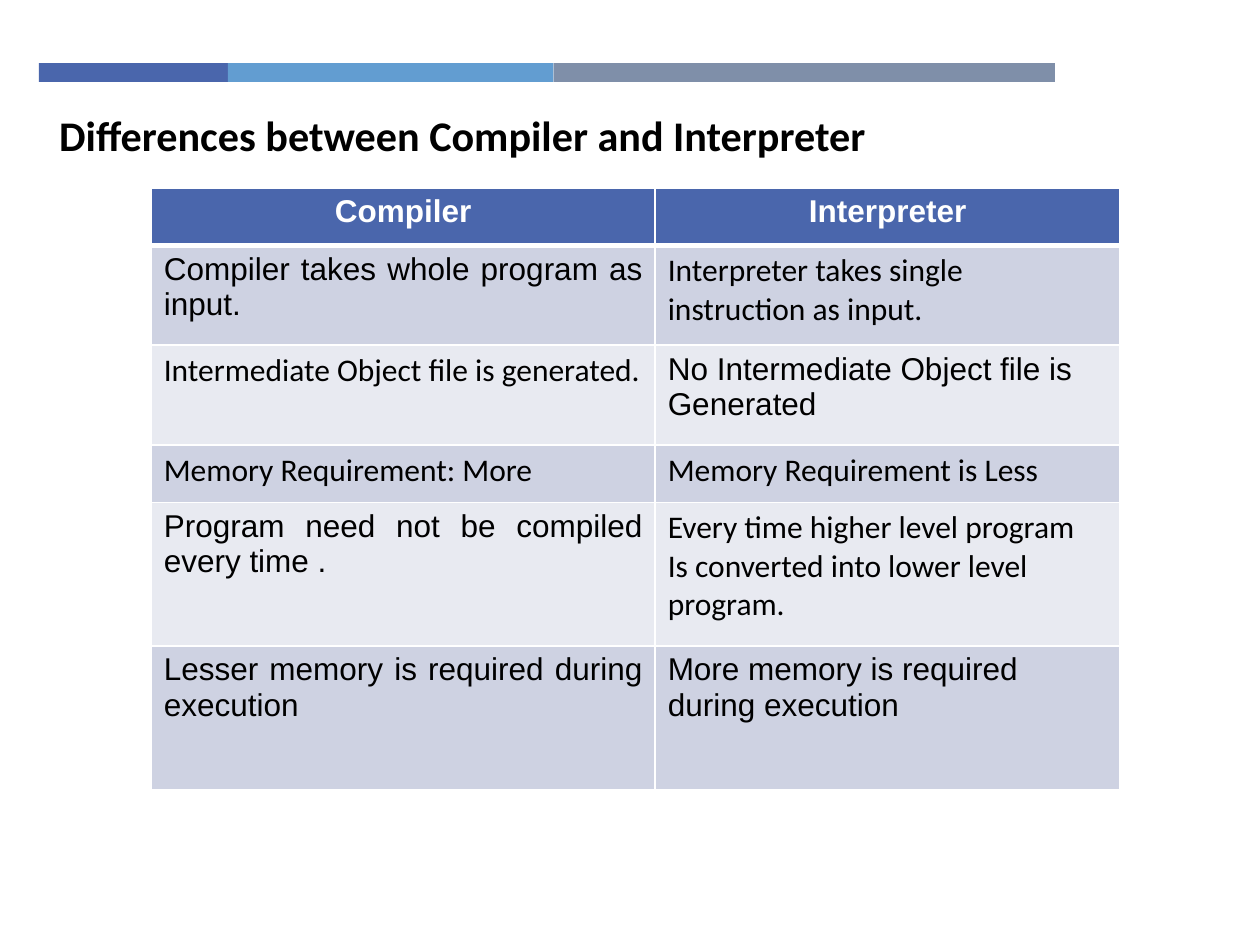
from lxml.etree import SubElement
from pptx import Presentation
from pptx.dml.color import RGBColor
from pptx.enum.shapes import MSO_SHAPE as Shape
from pptx.enum.text import MSO_ANCHOR as Anchor, MSO_AUTO_SIZE as AutoSize, PP_ALIGN as Align
from pptx.oxml.ns import qn
from pptx.util import Pt

COLORS = {
    "blue": "4A66AC",
    "sky": "629DD1",
    "slate": "7F8FA9",
    "band_dark": "CED2E2",
    "band_light": "E8EAF1",
    "white": "FFFFFF",
    "black": "000000",
}

STRIPES = [("blue", 108), ("sky", 186), ("slate", 286.5)]
COLUMN_WIDTHS = [288, 265.7]
ROW_HEIGHTS = [33, 57, 57, 33, 82, 82]

ARIAL = {"font": "Arial"}
CALIBRI = {"font": "Calibri"}
JUSTIFIED = {"align": Align.JUSTIFY}
HEADER = {"font": "Arial", "bold": True, "color": "white", "align": Align.CENTER}

COMPARISON = [
    [("Compiler", HEADER), ("Interpreter", HEADER)],
    [("Compiler takes whole program as input.", ARIAL | JUSTIFIED),
     ("Interpreter takes single instruction as input.", CALIBRI)],
    [("Intermediate Object file is generated.", CALIBRI | JUSTIFIED),
     ("No Intermediate Object file is Generated", ARIAL)],
    [("Memory Requirement: More", CALIBRI),
     ("Memory Requirement is Less", CALIBRI)],
    [("Program need not be compiled every time .", ARIAL | JUSTIFIED),
     ("Every time higher level program\nIs converted into lower level program.", CALIBRI)],
    [("Lesser memory is required during execution", ARIAL | JUSTIFIED),
     ("More memory is required during execution", ARIAL)],
]


def rgb(name):
    return RGBColor.from_string(COLORS[name])


def write_text(frame, text, font="Arial", size=18, bold=False, color="black", align=Align.LEFT):
    frame.text = text
    for paragraph in frame.paragraphs:
        paragraph.alignment = align
        for run in paragraph.runs:
            run.font.name = font
            run.font.size = Pt(size)
            run.font.bold = bold
            run.font.color.rgb = rgb(color)


def add_stripes(slide):
    left = 22.3
    for color, width in STRIPES:
        stripe = slide.shapes.add_shape(Shape.RECTANGLE, Pt(left), Pt(36), Pt(width), Pt(10.8))
        stripe.shadow.inherit = False
        stripe.fill.solid()
        stripe.fill.fore_color.rgb = rgb(color)
        stripe.line.fill.background()
        left += width


def place_title(slide, text):
    title = slide.shapes.title
    title.left, title.top, title.width, title.height = Pt(26.6), Pt(57.6), Pt(515.5), Pt(38.9)
    frame = title.text_frame
    frame.auto_size = AutoSize.NONE
    frame.word_wrap = True
    frame.vertical_anchor = Anchor.MIDDLE
    write_text(frame, text, font="Calibri", size=24.1, bold=True)


def set_borders(cell, top, bottom):
    properties = cell._tc.get_or_add_tcPr()
    for side, width in (("L", 1), ("R", 1), ("T", top), ("B", bottom)):
        border = SubElement(properties, qn(f"a:ln{side}"), w=str(Pt(width)))
        fill = SubElement(border, qn("a:solidFill"))
        SubElement(fill, qn("a:srgbClr"), val=COLORS["white"])


def add_comparison(slide):
    table = slide.shapes.add_table(
        len(ROW_HEIGHTS), len(COLUMN_WIDTHS), Pt(86.4), Pt(107.3),
        Pt(sum(COLUMN_WIDTHS)), Pt(sum(ROW_HEIGHTS))).table
    for column, width in zip(table.columns, COLUMN_WIDTHS):
        column.width = Pt(width)
    for index, entries in enumerate(COMPARISON):
        table.rows[index].height = Pt(ROW_HEIGHTS[index])
        band = "blue" if index == 0 else "band_dark" if index % 2 else "band_light"
        for position, (text, style) in enumerate(entries):
            cell = table.cell(index, position)
            set_borders(cell, top=3 if index == 1 else 1, bottom=3 if index == 0 else 1)
            cell.fill.solid()
            cell.fill.fore_color.rgb = rgb(band)
            write_text(cell.text_frame, text, **style)


def main():
    deck = Presentation()
    deck.slide_width, deck.slide_height = Pt(720), Pt(540)
    slide = deck.slides.add_slide(deck.slide_layouts[5])
    add_stripes(slide)
    place_title(slide, "Differences between Compiler and Interpreter")
    add_comparison(slide)
    deck.save("out.pptx")


if __name__ == "__main__":
    main()
